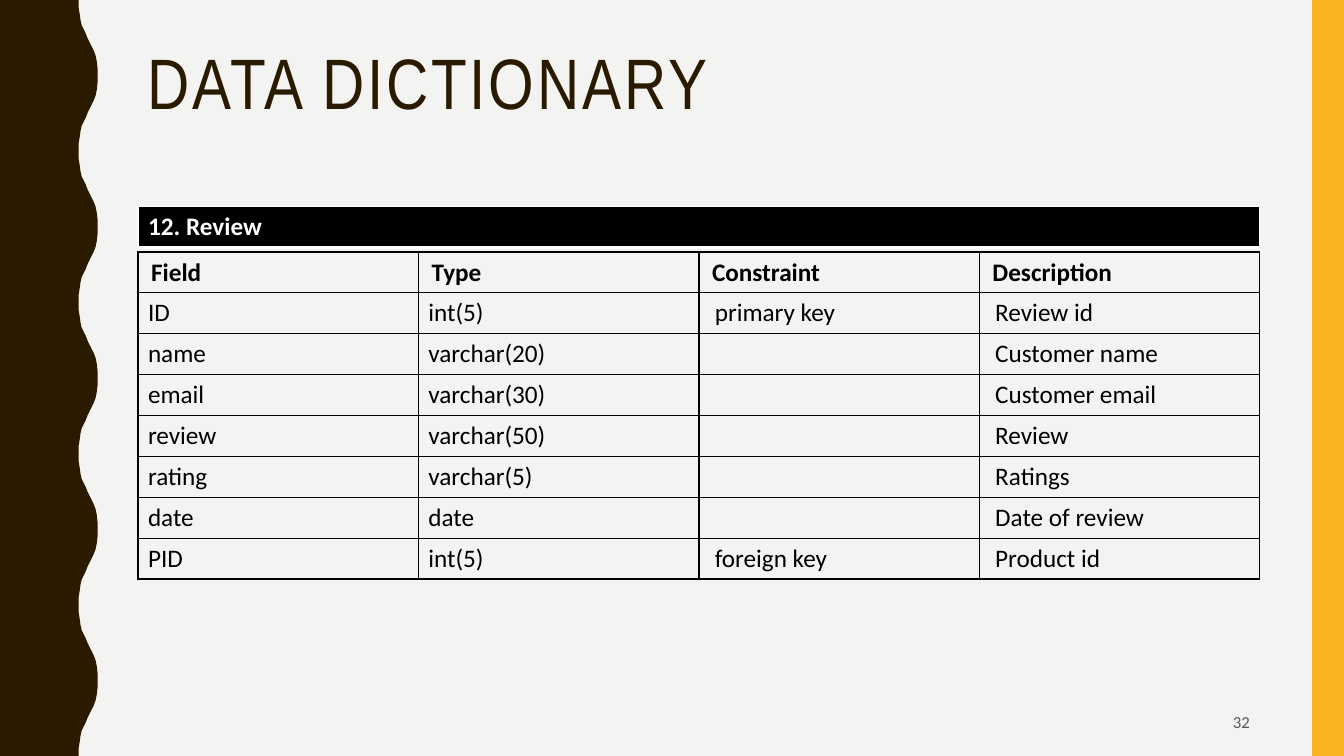
from dataclasses import dataclass

from lxml.etree import SubElement
from pptx import Presentation
from pptx.dml.color import RGBColor
from pptx.enum.shapes import MSO_SHAPE
from pptx.enum.text import MSO_ANCHOR, PP_ALIGN
from pptx.oxml.ns import qn
from pptx.util import Cm, Pt


@dataclass(frozen=True)
class Theme:
    paper: str = "F3F3F2"
    brown: str = "2A1A00"
    amber: str = "F8B323"
    black: str = "000000"
    white: str = "FFFFFF"
    grey: str = "595959"
    heading: str = "Arial Narrow"
    body: str = "Calibri"
    title_size: float = 51
    table_size: float = 18
    number_size: float = 12


WIDTH, HEIGHT = 33.87, 19.05
LEFT, CONTENT_WIDTH = 3.48, 28.27
ROW_HEIGHT = 1.03
SIDES = ("L", "R", "T", "B")

# Half a wave of the left edge, as (x, y) in hundredths of a centimetre
WAVE_PERIOD, WAVE_COUNT = 381, 5
HALF_WAVE = [(198, 0), (198, 18), (201, 36), (203, 51), (206, 64), (211, 74),
             (216, 84), (221, 97), (226, 107), (231, 117), (236, 127),
             (241, 140), (244, 155), (246, 173), (246, 190)]

HEADERS = ["Field", "Type", "Constraint", "Description"]
FIELDS = [
    ["ID", "int(5)", "primary key", "Review id"],
    ["name", "varchar(20)", "", "Customer name"],
    ["email", "varchar(30)", "", "Customer email"],
    ["review", "varchar(50)", "", "Review"],
    ["rating", "varchar(5)", "", "Ratings"],
    ["date", "date", "", "Date of review"],
    ["PID", "int(5)", "foreign key", "Product id"],
]


def write(tf, text, size, color, font, bold=False, align=PP_ALIGN.LEFT,
          line_spacing=None, tracking=None):
    p = tf.paragraphs[0]
    p.alignment = align
    if line_spacing:
        p.line_spacing = line_spacing
    r = p.add_run()
    r.text = text
    r.font.size = Pt(size)
    r.font.name = font
    r.font.bold = bold
    r.font.color.rgb = RGBColor.from_string(color)
    if tracking:
        r._r.get_or_add_rPr().set("spc", str(tracking * 100))


def set_borders(cell, color, widths):
    """Draw the cell borders; widths are points in the order of SIDES."""
    tcPr = cell._tc.get_or_add_tcPr()
    for side, width in zip(SIDES, widths):
        ln = SubElement(tcPr, qn(f"a:ln{side}"), w=str(Pt(width)))
        fill = SubElement(ln, qn("a:solidFill"))
        SubElement(fill, qn("a:srgbClr"), val=color)


class SlideBuilder:
    def __init__(self, slide, theme):
        self.slide = slide
        self.theme = theme

    def background(self):
        fill = self.slide.background.fill
        fill.solid()
        fill.fore_color.rgb = RGBColor.from_string(self.theme.paper)

    def paint(self, sp, color):
        sp.shadow.inherit = False
        sp.fill.solid()
        sp.fill.fore_color.rgb = RGBColor.from_string(color)
        sp.line.fill.background()

    def wavy_band(self, color):
        wave = HALF_WAVE + [(x, WAVE_PERIOD - y) for x, y in reversed(HALF_WAVE)]
        edge = [(x, y + i * WAVE_PERIOD) for i in range(WAVE_COUNT) for x, y in wave]
        outline = self.slide.shapes.build_freeform(0, 0, scale=Cm(0.01))
        outline.add_line_segments(edge + [(0, WAVE_PERIOD * WAVE_COUNT)], close=True)
        self.paint(outline.convert_to_shape(), color)

    def bar(self, x, y, w, h, color):
        sp = self.slide.shapes.add_shape(
            MSO_SHAPE.RECTANGLE, Cm(x), Cm(y), Cm(w), Cm(h))
        self.paint(sp, color)

    def text(self, x, y, w, h, text, anchor=MSO_ANCHOR.TOP, **style):
        box = self.slide.shapes.add_textbox(Cm(x), Cm(y), Cm(w), Cm(h))
        tf = box.text_frame
        tf.word_wrap = True
        tf.vertical_anchor = anchor
        write(tf, text, **style)

    def table(self, y, rows, color, border, widths, fill=None,
              bold_header=True, insets=None):
        """Add a full-width table; insets(row, column) gives the side margin."""
        cols = len(rows[0])
        table = self.slide.shapes.add_table(
            len(rows), cols, Cm(LEFT), Cm(y),
            Cm(CONTENT_WIDTH), Cm(ROW_HEIGHT * len(rows))).table
        table.first_row = table.horz_banding = False
        for i, row in enumerate(rows):
            table.rows[i].height = Cm(ROW_HEIGHT)
            for j, text in enumerate(row):
                cell = table.cell(i, j)
                cell.vertical_anchor = MSO_ANCHOR.MIDDLE
                if insets:
                    cell.margin_left = cell.margin_right = Cm(insets(i, j))
                set_borders(cell, border, widths)
                if fill:
                    cell.fill.solid()
                    cell.fill.fore_color.rgb = RGBColor.from_string(fill)
                else:
                    cell.fill.background()
                if text:
                    write(cell.text_frame, text, self.theme.table_size, color,
                          self.theme.body, bold=bold_header and i == 0)


def field_inset(row, col):
    if row == 0:
        return 0.33
    return 0.4 if col >= 2 else 0.25


def main():
    prs = Presentation()
    prs.slide_width, prs.slide_height = Cm(WIDTH), Cm(HEIGHT)
    theme = Theme()
    s = SlideBuilder(prs.slides.add_slide(prs.slide_layouts[6]), theme)

    s.background()
    s.wavy_band(theme.brown)
    s.bar(33.07, 0, 0.8, HEIGHT, theme.amber)
    s.text(LEFT, 1.07, CONTENT_WIDTH, 4.14, "DATA DICTIONARY",
           size=theme.title_size, color=theme.brown, font=theme.heading,
           line_spacing=0.9, tracking=2)
    s.table(6.35, [HEADERS] + FIELDS, theme.black, theme.black, (1, 1, 1, 1),
            insets=field_inset)
    s.text(23.93, 17.7, 7.82, 0.97, "32", anchor=MSO_ANCHOR.MIDDLE,
           size=theme.number_size, color=theme.grey, font=theme.body,
           align=PP_ALIGN.RIGHT)
    s.table(5.21, [["12. Review"]], theme.white, theme.white, (1, 1, 1, 3),
            fill=theme.black)
    prs.save("out.pptx")


if __name__ == "__main__":
    main()
